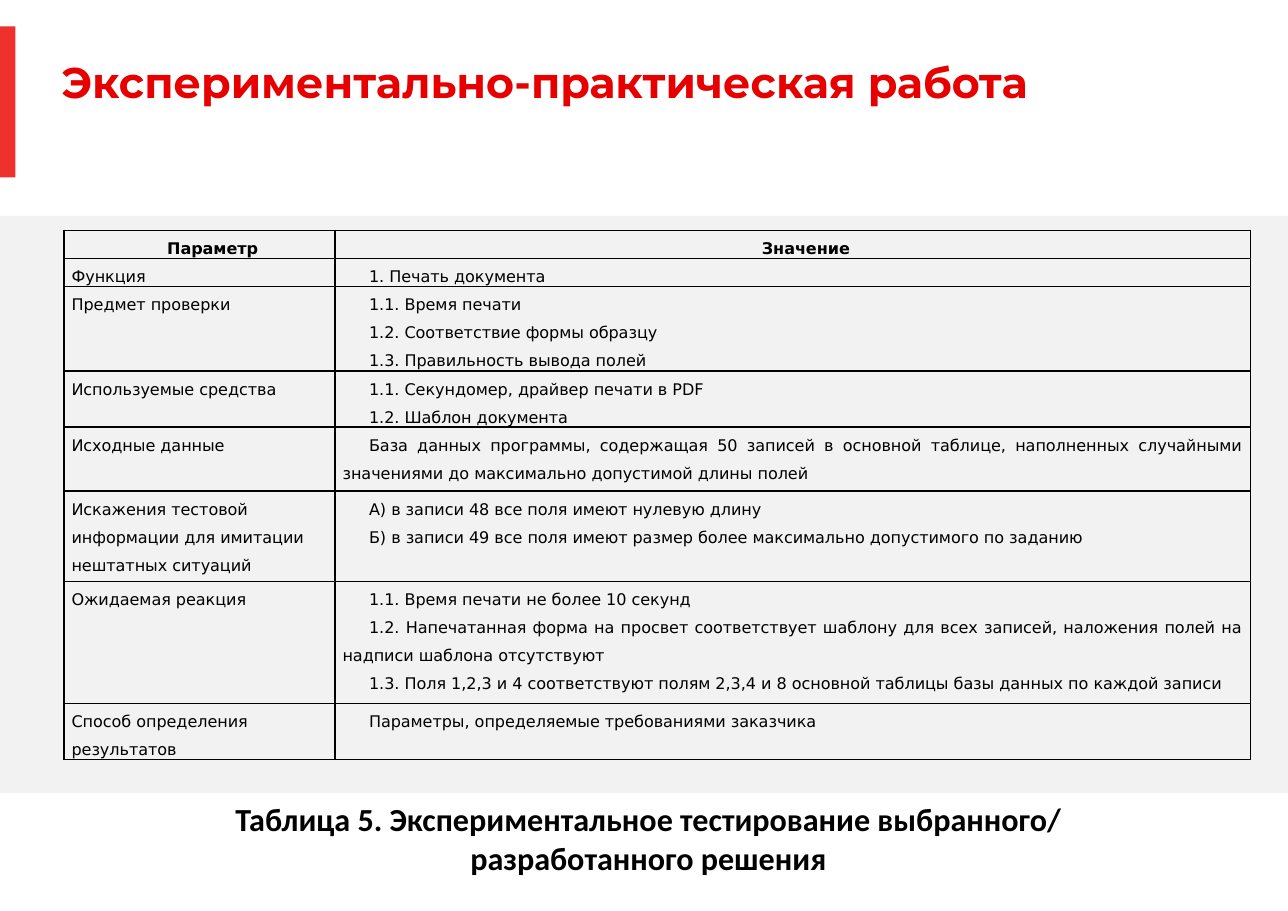
from lxml.etree import SubElement
from pptx import Presentation
from pptx.dml.color import RGBColor
from pptx.enum.shapes import MSO_SHAPE
from pptx.enum.text import MSO_ANCHOR, PP_ALIGN
from pptx.oxml.ns import qn
from pptx.util import Inches, Pt

RED = RGBColor(0xE6, 0x00, 0x00)
ACCENT = RGBColor(0xEE, 0x31, 0x2C)
PANEL = RGBColor(0xF2, 0xF2, 0xF2)
BLACK = RGBColor(0x00, 0x00, 0x00)

TITLE_FONT = {"name": "Montserrat", "size": Pt(28), "bold": True}
CAPTION_FONT = {"name": "Calibri", "size": Pt(21), "bold": True}
CELL_FONT = {"name": "DejaVu Sans", "size": Pt(10.5), "bold": False}
HEADER_FONT = {**CELL_FONT, "bold": True}

COLUMN_WIDTHS = [2.46, 8.31]
ROW_HEIGHTS = [0.22, 0.22, 0.72, 0.47, 0.58, 0.82, 1.11, 0.47]
TEST_ROWS = [
    ("Параметр", ["Значение"]),
    ("Функция", ["1. Печать документа"]),
    ("Предмет проверки", [
        "1.1. Время печати",
        "1.2. Соответствие формы образцу",
        "1.3. Правильность вывода полей",
    ]),
    ("Используемые средства", [
        "1.1. Секундомер, драйвер печати в PDF",
        "1.2. Шаблон документа",
    ]),
    ("Исходные данные", [
        "База данных программы, содержащая 50 записей в основной таблице, "
        "наполненных случайными значениями до максимально допустимой длины полей",
    ]),
    ("Искажения тестовой информации для имитации нештатных ситуаций", [
        "А) в записи 48 все поля имеют нулевую длину",
        "Б) в записи 49 все поля имеют размер более максимально допустимого по заданию",
    ]),
    ("Ожидаемая реакция", [
        "1.1. Время печати не более 10 секунд",
        "1.2. Напечатанная форма на просвет соответствует шаблону для всех записей, "
        "наложения полей на надписи шаблона отсутствуют",
        "1.3. Поля 1,2,3 и 4 соответствуют полям 2,3,4 и 8 основной таблицы "
        "базы данных по каждой записи",
    ]),
    ("Способ определения результатов", [
        "Параметры, определяемые требованиями заказчика",
    ]),
]


def apply(target, values):
    for name, value in values.items():
        setattr(target, name, value)


class Page:
    def __init__(self, deck):
        self.slide = deck.slides.add_slide(deck.slide_layouts[5])
        self.shapes = self.slide.shapes

    def add_lines(self, frame, lines, font, color, align, spacing=1.0, indent=0):
        for index, line in enumerate(lines):
            para = frame.add_paragraph() if index else frame.paragraphs[0]
            apply(para, {"alignment": align, "line_spacing": spacing,
                         "space_before": Pt(0)})
            if indent:
                para._p.get_or_add_pPr().set("indent", str(Inches(indent)))
            span = para.add_run()
            span.text = line
            apply(span.font, font)
            span.font.color.rgb = color

    def rectangle(self, left, top, width, height, color):
        box = self.shapes.add_shape(MSO_SHAPE.RECTANGLE, Inches(left), Inches(top),
                                    Inches(width), Inches(height))
        box.shadow.inherit = False
        box.fill.solid()
        box.fill.fore_color.rgb = color
        box.line.fill.background()

    def title(self, text, left, top, width, height):
        box = self.shapes.title
        apply(box, {"left": Inches(left), "top": Inches(top),
                    "width": Inches(width), "height": Inches(height)})
        apply(box.text_frame, {"margin_left": 0, "margin_right": 0, "margin_top": 0,
                               "margin_bottom": 0, "word_wrap": True,
                               "vertical_anchor": MSO_ANCHOR.MIDDLE})
        self.add_lines(box.text_frame, [text], TITLE_FONT, RED, PP_ALIGN.LEFT, 0.9)

    def caption(self, lines, left, top, width, height):
        box = self.shapes.add_textbox(Inches(left), Inches(top),
                                      Inches(width), Inches(height))
        box.text_frame.word_wrap = True
        self.add_lines(box.text_frame, lines, CAPTION_FONT, BLACK, PP_ALIGN.CENTER)

    def border(self, cell):
        properties = cell._tc.get_or_add_tcPr()
        for index, side in enumerate(("a:lnL", "a:lnR", "a:lnT", "a:lnB")):
            line = SubElement(properties, qn(side), w=str(Pt(1)))
            fill = SubElement(line, qn("a:solidFill"))
            SubElement(fill, qn("a:srgbClr"), val=str(BLACK))
            properties.insert(index, line)

    def cell(self, cell, lines, font, align, indent):
        apply(cell, {"margin_left": Inches(0.07), "margin_right": Inches(0.07),
                     "margin_top": 0, "margin_bottom": 0,
                     "vertical_anchor": MSO_ANCHOR.TOP})
        cell.fill.background()
        self.border(cell)
        self.add_lines(cell.text_frame, lines, font, BLACK, align, 1.5, indent)

    def table(self, rows, left, top):
        table = self.shapes.add_table(
            len(rows), len(COLUMN_WIDTHS), Inches(left), Inches(top),
            Inches(sum(COLUMN_WIDTHS)), Inches(sum(ROW_HEIGHTS))).table
        apply(table, {"first_row": False, "horz_banding": False})
        for column, width in zip(table.columns, COLUMN_WIDTHS):
            column.width = Inches(width)
        for index, (parameter, values) in enumerate(rows):
            table.rows[index].height = Inches(ROW_HEIGHTS[index])
            header = index == 0
            font = HEADER_FONT if header else CELL_FONT
            self.cell(table.cell(index, 0), [parameter], font,
                      PP_ALIGN.CENTER if header else PP_ALIGN.LEFT,
                      0.24 if header else 0)
            self.cell(table.cell(index, 1), values, font,
                      PP_ALIGN.CENTER if header else PP_ALIGN.JUSTIFY, 0.24)


def main():
    deck = Presentation()
    apply(deck, {"slide_width": Inches(11.69), "slide_height": Inches(8.27)})
    page = Page(deck)
    page.rectangle(0, 1.96, 11.69, 5.24, PANEL)
    page.rectangle(0, 0.24, 0.14, 1.37, ACCENT)
    page.title("Экспериментально-практическая работа", 0.56, 0.56, 10.59, 0.42)
    page.table(TEST_ROWS, 0.58, 2.09)
    page.caption(["Таблица 5. Экспериментальное тестирование выбранного/",
                  "разработанного решения"], 0.41, 7.21, 10.95, 0.81)
    deck.save("out.pptx")


if __name__ == "__main__":
    main()
